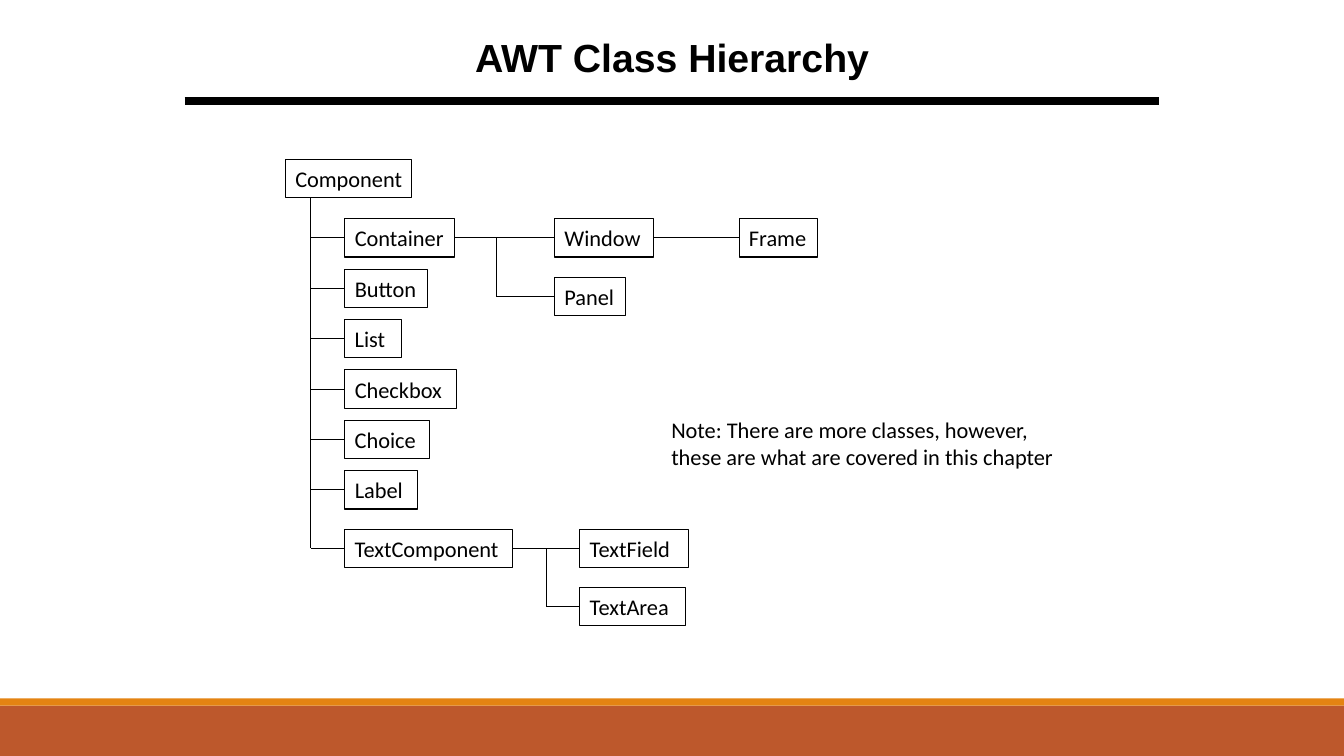
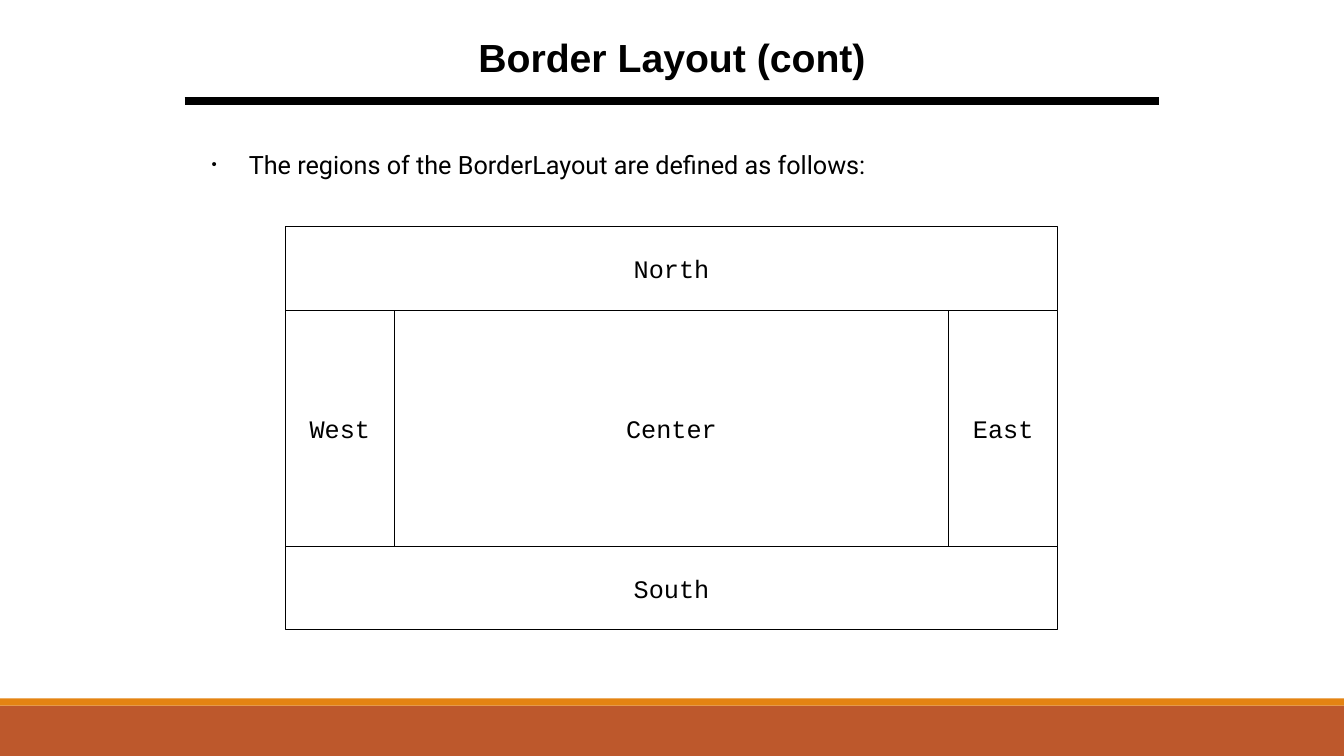
from dataclasses import dataclass

from lxml import etree
from pptx import Presentation
from pptx.dml.color import RGBColor
from pptx.enum.shapes import MSO_CONNECTOR as Connector, MSO_SHAPE as Shape
from pptx.enum.text import MSO_ANCHOR as Anchor, PP_ALIGN as Align
from pptx.oxml.ns import qn
from pptx.util import Inches, Pt


@dataclass(frozen=True)
class Theme:
    ink: RGBColor = RGBColor(0x00, 0x00, 0x00)
    paper: RGBColor = RGBColor(0xFF, 0xFF, 0xFF)
    rust: RGBColor = RGBColor(0xBD, 0x58, 0x2C)
    orange: RGBColor = RGBColor(0xE4, 0x83, 0x12)
    title_font: str = "Arial"
    class_font: str = "Calibri"
    body_font: str = "Roboto"
    region_font: str = "Courier New"
    title_size: int = 28
    body_size: int = 18
    class_size: int = 16
    hairline: float = 0.75
    rule: float = 6


THEME = Theme()
SLIDE_W, SLIDE_H = 13.33, 7.5
TOP, LEFT, BOTTOM, RIGHT = range(4)  # connection sites of a rectangle

# Content: class hierarchy
HIERARCHY_TITLE = "AWT Class Hierarchy"
BOX_H = 0.38
COMPONENT_X, SUBCLASS_X = 2.83, 3.42
CONTAINER_ROW, TEXT_ROW, ROW_STEP, CHILD_STEP = 2.17, 5.25, 0.5, 0.58
SIMPLE_WIDGETS = [("Button", 0.82), ("List", 0.56), ("Checkbox", 1.11),
                  ("Choice", 0.84), ("Label", 0.72)]
# name, parent, left, top, width
CLASSES = [
    ("Component", None, COMPONENT_X, 1.58, 1.25),
    ("Container", "Component", SUBCLASS_X, CONTAINER_ROW, 1.09),
    *[(name, "Component", SUBCLASS_X, CONTAINER_ROW + row * ROW_STEP, width)
      for row, (name, width) in enumerate(SIMPLE_WIDGETS, 1)],
    ("TextComponent", "Component", SUBCLASS_X, TEXT_ROW, 1.66),
    ("Window", "Container", 5.5, CONTAINER_ROW, 0.98),
    ("Panel", "Container", 5.5, CONTAINER_ROW + CHILD_STEP, 0.7),
    ("Frame", "Window", 7.33, CONTAINER_ROW, 0.78),
    ("TextField", "TextComponent", 5.75, TEXT_ROW, 1.08),
    ("TextArea", "TextComponent", 5.75, TEXT_ROW + CHILD_STEP, 1.05),
]
TRUNK_X = {"Component": 3.08, "Container": 4.92, "TextComponent": 5.42}
NOTE = ["Note: There are more classes, however,",
        "these are what are covered in this chapter"]

# Content: border layout
LAYOUT_TITLE = "Border Layout (cont)"
LAYOUT_INTRO = "The regions of the BorderLayout are defined as follows:"
FRAME_X, FRAME_Y, FRAME_W, FRAME_H = 2.83, 2.25, 7.66, 4
EDGE_H, SIDE_W = 0.83, 1.08
MIDDLE_Y, MIDDLE_H = FRAME_Y + EDGE_H, FRAME_H - 2 * EDGE_H
REGIONS = [
    ("Center", FRAME_X + SIDE_W, MIDDLE_Y, FRAME_W - 2 * SIDE_W, MIDDLE_H),
    ("North", FRAME_X, FRAME_Y, FRAME_W, EDGE_H),
    ("South", FRAME_X, MIDDLE_Y + MIDDLE_H, FRAME_W, EDGE_H),
    ("West", FRAME_X, MIDDLE_Y, SIDE_W, MIDDLE_H),
    ("East", FRAME_X + FRAME_W - SIDE_W, MIDDLE_Y, SIDE_W, MIDDLE_H),
]


# Drawing helpers
def inches(*lengths):
    return [Inches(length) for length in lengths]


def write(shape, lines, font, size, align=Align.LEFT, anchor=Anchor.MIDDLE, bold=False):
    frame = shape.text_frame
    frame.word_wrap = True
    frame.vertical_anchor = anchor
    for index, line in enumerate(lines):
        paragraph = frame.paragraphs[0] if index == 0 else frame.add_paragraph()
        paragraph.alignment = align
        run = paragraph.add_run()
        run.text = line
        run.font.name, run.font.size, run.font.bold = font, Pt(size), bold
        run.font.color.rgb = THEME.ink
    return frame


def add_rect(slide, left, top, width, height, fill, outlined=True):
    rect = slide.shapes.add_shape(Shape.RECTANGLE, *inches(left, top, width, height))
    rect.shadow.inherit = False
    rect.fill.solid()
    rect.fill.fore_color.rgb = fill
    if outlined:
        rect.line.color.rgb = THEME.ink
        rect.line.width = Pt(THEME.hairline)
    else:
        rect.line.fill.background()
    return rect


def add_line(slide, x1, y1, x2, y2, weight=THEME.hairline):
    line = slide.shapes.add_connector(Connector.STRAIGHT, *inches(x1, y1, x2, y2))
    line.line.color.rgb = THEME.ink
    line.line.width = Pt(weight)
    etree.SubElement(line._element.spPr, qn("a:effectLst"))
    return line


def add_bullet(paragraph, indent, percent):
    props = paragraph._p.get_or_add_pPr()
    props.set("marL", str(Inches(indent)))
    props.set("indent", str(-Inches(indent)))
    color = etree.SubElement(props, qn("a:buClr"))
    etree.SubElement(color, qn("a:srgbClr"), val=str(THEME.ink))
    etree.SubElement(props, qn("a:buSzPct"), val=str(percent * 1000))
    etree.SubElement(props, qn("a:buFont"), typeface=THEME.title_font)
    etree.SubElement(props, qn("a:buChar"), char="•")


# Shared bands, title and rule
def add_titled_slide(prs, title):
    slide = prs.slides.add_slide(prs.slide_layouts[6])
    add_rect(slide, 0, 7, SLIDE_W, 0.5, THEME.rust, outlined=False)
    add_rect(slide, 0, 6.93, SLIDE_W, 0.07, THEME.orange, outlined=False)
    heading = slide.shapes.add_textbox(*inches(2.5, 0.28, 8.33, 0.57))
    write(heading, [title], THEME.title_font, THEME.title_size,
          Align.CENTER, Anchor.TOP, bold=True)
    add_line(slide, 1.83, 1, 11.5, 1, THEME.rule)
    return slide


def build_hierarchy(prs):
    slide = add_titled_slide(prs, HIERARCHY_TITLE)

    # Class boxes
    boxes, places = {}, {}
    for name, _, left, top, width in CLASSES:
        box = add_rect(slide, left, top, width, BOX_H, THEME.paper)
        frame = write(box, [name], THEME.class_font, THEME.class_size)
        frame.margin_right = 0
        boxes[name], places[name] = box, (left, top, width)

    # Branches: straight across on the parent's row, else from its trunk
    trunk_ends = {}
    for name, parent, left, top, _ in CLASSES:
        if parent is None:
            continue
        parent_left, parent_top, parent_width = places[parent]
        middle = top + BOX_H / 2
        same_row = top == parent_top
        start = parent_left + parent_width if same_row else TRUNK_X[parent]
        branch = add_line(slide, start, middle, left, middle)
        if same_row:
            branch.begin_connect(boxes[parent], RIGHT)
        else:
            trunk_ends[parent] = middle
        branch.end_connect(boxes[name], LEFT)

    # Trunks
    for parent, end in trunk_ends.items():
        drop = BOX_H if parent == "Component" else BOX_H / 2
        x = TRUNK_X[parent]
        add_line(slide, x, places[parent][1] + drop, x, end)

    note = slide.shapes.add_textbox(*inches(6.56, 4.08, 4.2, 0.64))
    write(note, NOTE, THEME.class_font, THEME.class_size)


def build_border_layout(prs):
    slide = add_titled_slide(prs, LAYOUT_TITLE)
    intro = slide.shapes.add_textbox(*inches(2, 1.43, 9.17, 0.76))
    frame = write(intro, [LAYOUT_INTRO], THEME.body_font, THEME.body_size,
                  anchor=Anchor.TOP)
    add_bullet(frame.paragraphs[0], 0.37, 59)
    for name, *place in REGIONS:
        region = add_rect(slide, *place, THEME.paper)
        write(region, [name], THEME.region_font, THEME.body_size, Align.CENTER)


def main():
    prs = Presentation()
    prs.slide_width, prs.slide_height = inches(SLIDE_W, SLIDE_H)
    build_hierarchy(prs)
    build_border_layout(prs)
    prs.save("out.pptx")


if __name__ == "__main__":
    main()
